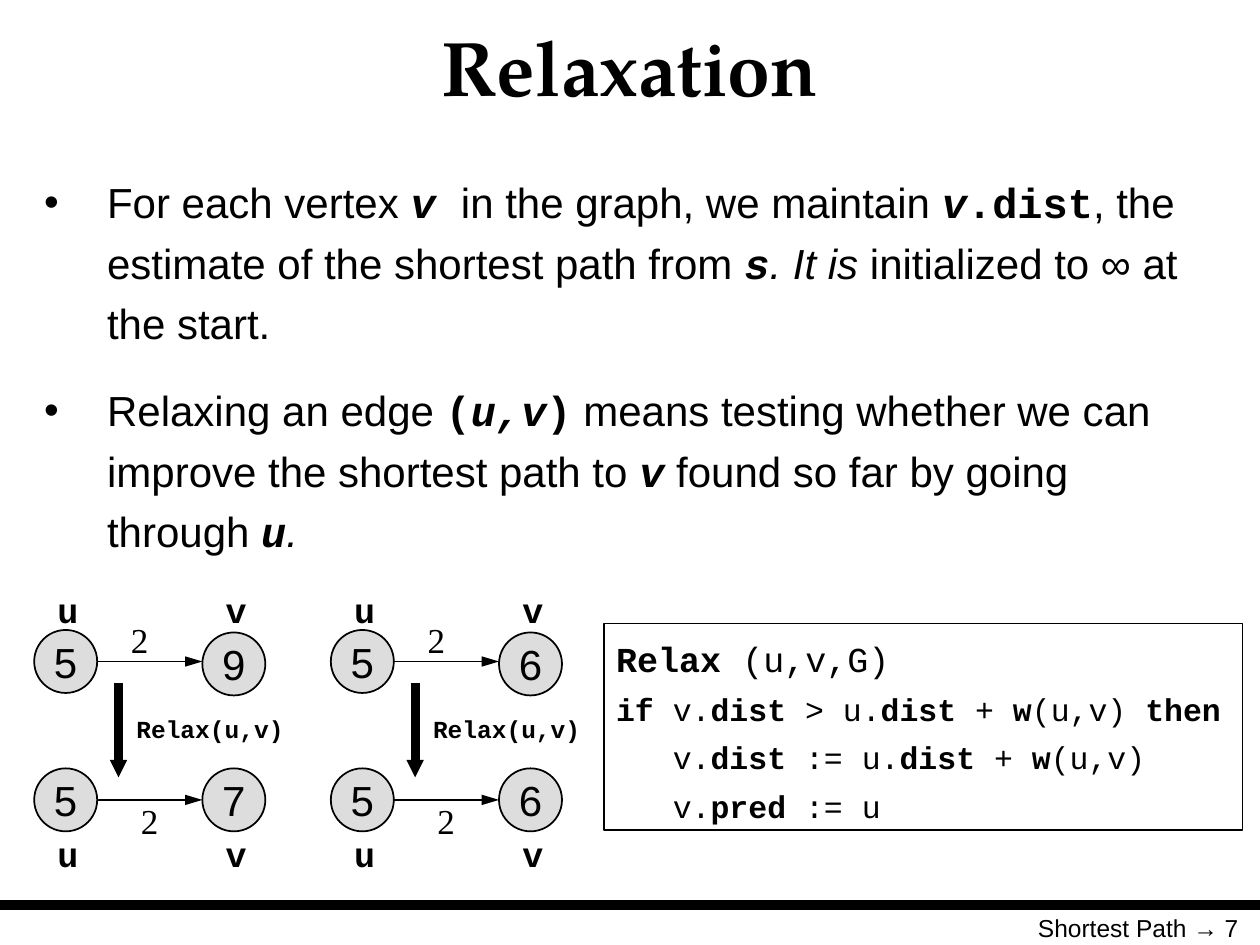
"""Build the Relaxation slide: two bullets, two edge examples and the Relax pseudocode."""
from itertools import product

from lxml.etree import SubElement
from pptx import Presentation
from pptx.dml.color import RGBColor
from pptx.enum.shapes import MSO_CONNECTOR, MSO_SHAPE
from pptx.enum.text import MSO_ANCHOR, PP_ALIGN
from pptx.oxml.ns import qn
from pptx.util import Cm, Pt

BLACK = RGBColor(0x00, 0x00, 0x00)
GREY = RGBColor(0xDD, 0xDD, 0xDD)

STYLES = {
    "title": {"name": "TeX Gyre Pagella", "size": Pt(44), "bold": True},
    "body": {"name": "Arial", "size": Pt(24)},
    "slanted": {"name": "Arial", "size": Pt(24), "italic": True},
    "symbol": {"name": "Courier New", "size": Pt(24), "bold": True},
    "variable": {"name": "Courier New", "size": Pt(24), "bold": True, "italic": True},
    "vertex": {"name": "Courier New", "size": Pt(20), "bold": True},
    "weight": {"name": "Times New Roman", "size": Pt(20)},
    "step": {"name": "Courier New", "size": Pt(14), "bold": True},
    "head": {"name": "Courier New", "size": Pt(20), "bold": True},
    "arguments": {"name": "Courier New", "size": Pt(20)},
    "keyword": {"name": "Courier New", "size": Pt(18), "bold": True},
    "code": {"name": "Courier New", "size": Pt(18)},
    "footer": {"name": "Arial", "size": Pt(14)},
}

BULLETS = [
    [("For each vertex ", "body"), ("v ", "variable"),
     ("in the graph, we maintain ", "body"), ("v", "variable"), (".dist", "symbol"),
     (", the estimate of the shortest path from ", "body"), ("s", "variable"),
     (". It is ", "slanted"), ("initialized to ∞ at the start.", "body")],
    [("Relaxing an edge ", "body"), ("(", "symbol"), ("u,v", "variable"), (")", "symbol"),
     (" means testing whether we can improve the shortest path to ", "body"),
     ("v", "variable"), (" found so far by going through ", "body"),
     ("u", "variable"), (".", "slanted")],
]
CODE = [
    [("Relax ", "head"), ("(u,v,G)", "arguments")],
    [("if ", "keyword"), ("v.", "code"), ("dist", "keyword"), (" > u.", "code"),
     ("dist ", "keyword"), ("+ ", "code"), ("w", "keyword"), ("(u,v) ", "code"),
     ("then", "keyword")],
    [("   v.", "code"), ("dist", "keyword"), (" := u.", "code"), ("dist ", "keyword"),
     ("+ ", "code"), ("w", "keyword"), ("(u,v)", "code")],
    [("   v.", "code"), ("pred", "keyword"), (" := u", "code")],
]
EXAMPLES = [(("5", "9"), ("5", "7")), (("5", "6"), ("5", "6"))]

EXAMPLE_LEFT, EXAMPLE_PITCH = 0.69, 5.98
CIRCLE, VERTEX_GAP = 1.27, 3.39
ROW_TOPS = (12.7, 15.49)
VERTEX_DROPS = ((0, 0.05), (0, 0))
NAME_TOPS = (11.73, 16.66)
WEIGHT_PLACES = ((1.7, 12.34), (1.9, 16))


def write(shape, paragraphs, **formats):
    frame = shape.text_frame
    frame.word_wrap = True
    for index, spans in enumerate(paragraphs):
        para = frame.paragraphs[0] if index == 0 else frame.add_paragraph()
        for name, value in formats.items():
            if index or name != "space_before":
                setattr(para, name, value)
        for text, style in spans:
            span = para.add_run()
            span.text = text
            for name, value in STYLES[style].items():
                setattr(span.font, name, value)
            span.font.color.rgb = BLACK
    return frame


def add_text(page, place, paragraphs, **formats):
    box = page.shapes.add_textbox(*map(Cm, place))
    return write(box, paragraphs, **formats)


def add_outline(page, kind, place):
    shape = page.shapes.add_shape(kind, *map(Cm, place))
    shape.shadow.inherit = False
    shape.line.color.rgb = BLACK
    shape.line.width = Pt(1)
    return shape


def add_line(page, ends, width, arrowhead=None):
    line = page.shapes.add_connector(MSO_CONNECTOR.STRAIGHT, *map(Cm, ends))
    line.line.color.rgb = BLACK
    line.line.width = Pt(width)
    properties = line.element.spPr
    if arrowhead:
        head_width, head_length = arrowhead
        SubElement(properties.find(qn("a:ln")), qn("a:tailEnd"),
                   type="triangle", w=head_width, len=head_length)
    SubElement(properties, qn("a:effectLst"))


def add_bullet(para):
    properties = para._p.get_or_add_pPr()
    properties.set("marL", str(Cm(1.27)))
    properties.set("indent", str(-Cm(1.27)))
    colour = SubElement(properties, qn("a:buClr"))
    SubElement(colour, qn("a:srgbClr"), val=str(BLACK))
    SubElement(properties, qn("a:buFont"), typeface="Arial")
    SubElement(properties, qn("a:buChar"), char="•")


def add_example(page, left, rows):
    for row, column in product(range(2), repeat=2):
        x = left + column * VERTEX_GAP
        place = (x, ROW_TOPS[row] + VERTEX_DROPS[row][column], CIRCLE, CIRCLE)
        circle = add_outline(page, MSO_SHAPE.OVAL, place)
        circle.fill.solid()
        circle.fill.fore_color.rgb = GREY
        frame = write(circle, [[(rows[row][column], "body")]], alignment=PP_ALIGN.CENTER)
        frame.word_wrap = False
        frame.vertical_anchor = MSO_ANCHOR.MIDDLE
        add_text(page, (x + 0.22, NAME_TOPS[row], 0.84, 1.12), [[("uv"[column], "vertex")]])
    for top, (shift, weight_top) in zip(ROW_TOPS, WEIGHT_PLACES):
        middle = top + CIRCLE / 2
        add_line(page, (left + CIRCLE, middle, left + VERTEX_GAP, middle), 1, ("med", "lg"))
        add_text(page, (left + shift, weight_top, 0.84, 1.12), [[("2", "weight")]])
    add_line(page, (left + 1.7, 13.77, left + 1.7, 15.67), 5, ("sm", "sm"))
    add_text(page, (left + 1.81, 14.27, 3.8, 0.86), [[("Relax(u,v)", "step")]])


def main():
    deck = Presentation()
    deck.slide_width, deck.slide_height = Cm(25.4), Cm(19.05)
    page = deck.slides.add_slide(deck.slide_layouts[6])

    add_line(page, (0, 18.24, 25.4, 18.24), 6)
    add_text(page, (18.24, 18.29, 6.98, 1.32), [[("Shortest Path → 7", "footer")]],
             alignment=PP_ALIGN.RIGHT)
    title = add_text(page, (0.13, 0.18, 25.14, 2.29), [[("Relaxation", "title")]],
                     alignment=PP_ALIGN.CENTER)
    title.vertical_anchor = MSO_ANCHOR.MIDDLE

    body = add_text(page, (0.64, 3.24, 24.13, 8.37), BULLETS, line_spacing=1.2,
                    space_before=Pt(7.5), space_after=Pt(7.5))
    for para in body.paragraphs:
        add_bullet(para)

    for index, rows in enumerate(EXAMPLES):
        add_example(page, EXAMPLE_LEFT + index * EXAMPLE_PITCH, rows)

    listing = add_outline(page, MSO_SHAPE.RECTANGLE, (12.17, 12.57, 12.88, 4.17))
    listing.fill.background()
    frame = write(listing, CODE, alignment=PP_ALIGN.LEFT, space_before=Pt(6))
    frame.vertical_anchor = MSO_ANCHOR.TOP
    frame.margin_top = Cm(0.28)

    deck.save("out.pptx")


if __name__ == "__main__":
    main()
